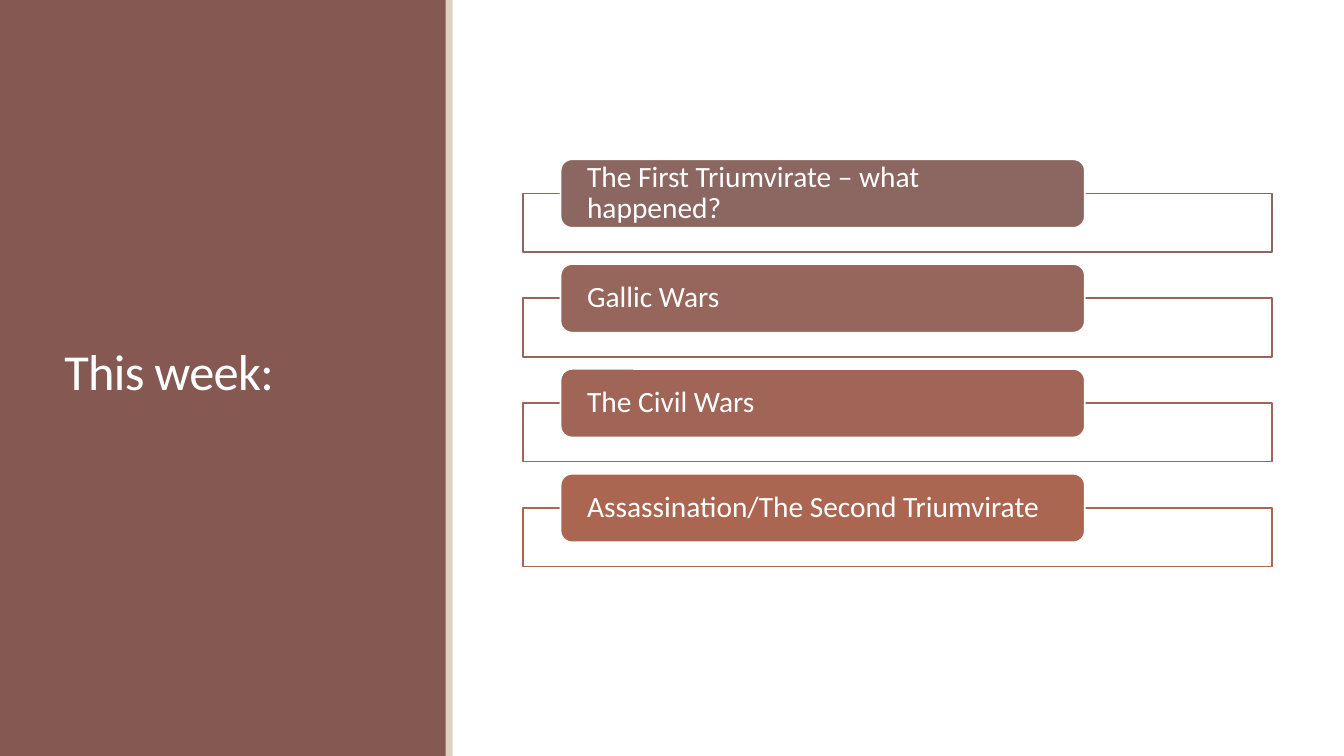
import dataclasses

import pptx
import pptx.dml.color
import pptx.enum.shapes
import pptx.enum.text
import pptx.util

Inches = pptx.util.Inches
Pt = pptx.util.Pt
Kind = pptx.enum.shapes.MSO_SHAPE


@dataclasses.dataclass(frozen=True)
class Theme:
    font: str = "Calibri"
    white: str = "FFFFFF"
    panel: str = "865852"
    stripe: str = "E1D2BF"
    shades: tuple = ("8C6660", "96655B", "A06556", "AA6650")
    title: float = 36
    label: float = 21
    line: float = 1.25


class Deck:
    """Draws styled panels, boxes and text on the current slide."""

    def __init__(self, theme):
        self.theme = theme
        self.show = pptx.Presentation()
        self.show.slide_width = Inches(13.33)
        self.show.slide_height = Inches(7.5)
        self.slide = self.show.slides.add_slide(self.show.slide_layouts[6])

    def color(self, code):
        return pptx.dml.color.RGBColor.from_string(code)

    def box(self, kind, place, fill, line=None):
        shape = self.slide.shapes.add_shape(kind, *map(Inches, place))
        shape.shadow.inherit = False
        shape.fill.solid()
        shape.fill.fore_color.rgb = self.color(fill)
        if line:
            shape.line.color.rgb = self.color(line)
            shape.line.width = Pt(self.theme.line)
        else:
            shape.line.fill.background()
        return shape

    def letter(self, shape, text, size, space, inset, track=0):
        frame = shape.text_frame
        frame.word_wrap = True
        frame.vertical_anchor = pptx.enum.text.MSO_ANCHOR.MIDDLE
        frame.margin_left = frame.margin_right = Inches(inset)
        frame.margin_top = frame.margin_bottom = 0
        para = frame.paragraphs[0]
        para.alignment = pptx.enum.text.PP_ALIGN.LEFT
        para.line_spacing = space
        run = para.add_run()
        run.text = text
        run.font.name = self.theme.font
        run.font.size = Pt(size)
        run.font.color.rgb = self.color(self.theme.white)
        if track:
            run.font._element.set("spc", str(round(track * 100)))

    def title(self, text, place):
        shape = self.slide.shapes.add_textbox(*map(Inches, place))
        self.letter(shape, text, self.theme.title, 0.85, 0.1, -0.5)

    def topic(self, text, top, shade):
        white = self.theme.white
        self.box(Kind.RECTANGLE, (5.19, top + 0.34, 7.43, 0.58), white, shade)
        label = self.box(
            Kind.ROUNDED_RECTANGLE, (5.56, top, 5.2, 0.68), shade, white
        )
        self.letter(label, text, self.theme.label, 0.9, 0.23)


def main():
    theme = Theme()
    deck = Deck(theme)
    deck.box(Kind.RECTANGLE, (0, 0, 4.43, 7.5), theme.panel)
    deck.title("This week:", (0.54, 0.57, 3.37, 6.31))
    deck.box(Kind.RECTANGLE, (4.42, 0, 0.07, 7.5), theme.stripe)
    topics = (
        "The First Triumvirate – what happened?",
        "Gallic Wars",
        "The Civil Wars",
        "Assassination/The Second Triumvirate",
    )
    for row, (text, shade) in enumerate(zip(topics, theme.shades)):
        deck.topic(text, 1.58 + row * 1.04, shade)
    deck.show.save("out.pptx")


if __name__ == "__main__":
    main()
